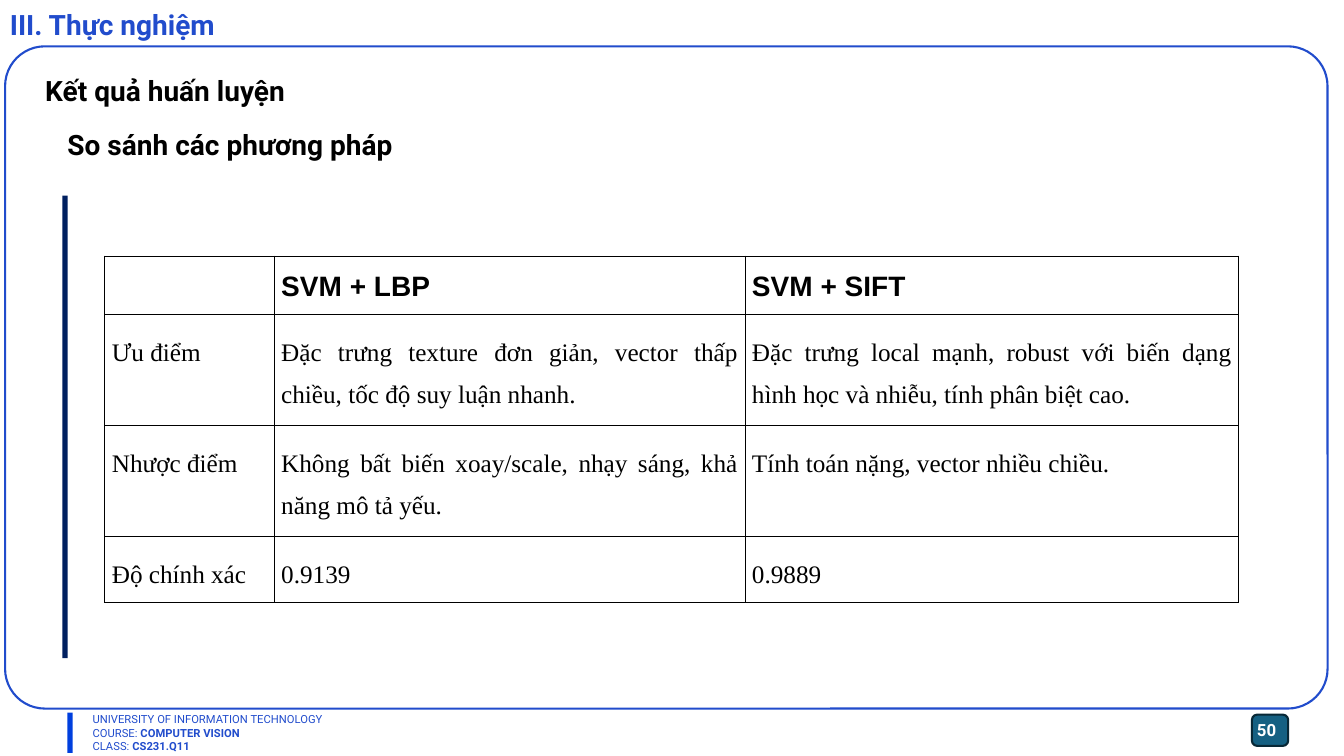
from lxml import etree
from pptx import Presentation
from pptx import util as u
from pptx.dml.color import RGBColor
from pptx.enum import shapes, text
from pptx.oxml import ns

presentation = Presentation()
presentation.slide_width = u.Inches(13.33)
presentation.slide_height = u.Inches(7.5)
slide = presentation.slides.add_slide(presentation.slide_layouts[6])


def share(left, top, width, height):
    across, down = presentation.slide_width, presentation.slide_height
    return [int(part * whole / 100) for part, whole in
            zip((left, top, width, height), (across, down, across, down))]


def style(run, size, name, color, bold):
    run.font.size = u.Pt(size)
    run.font.name = name
    run.font.bold = bold
    run.font.color.rgb = RGBColor.from_string(color)


BLUE, BLACK, WHITE = "214CCC", "000000", "FFFFFF"
RECTANGLE = shapes.MSO_SHAPE.RECTANGLE
ROUNDED = shapes.MSO_SHAPE.ROUNDED_RECTANGLE
LEFT, RIGHT = text.PP_ALIGN.LEFT, text.PP_ALIGN.RIGHT
TOP, MIDDLE = text.MSO_ANCHOR.TOP, text.MSO_ANCHOR.MIDDLE

blocks = [
    (RECTANGLE, (5.02, 94.27, 0.38, 5.33), "003FDE", None, None),
    (ROUNDED, (0.38, 6.13, 98.4, 87.6), None, BLUE, 0.06),
    (ROUNDED, (93.15, 94.53, 2.7, 4.13), "156082", "082836", 0.17),
    (RECTANGLE, (4.65, 25.87, 0.38, 61.2), "002060", None, None),
]
for preset, area, fill, line, corner in blocks:
    shape = slide.shapes.add_shape(preset, *share(*area))
    shape.shadow.inherit = False
    if corner:
        shape.adjustments[0] = corner
    if fill:
        shape.fill.solid()
        shape.fill.fore_color.rgb = RGBColor.from_string(fill)
    else:
        shape.fill.background()
    if line:
        shape.line.color.rgb = RGBColor.from_string(line)
        shape.line.width = u.Pt(1.5)
    else:
        shape.line.fill.background()

footer = [
    [("UNIVERSITY OF INFORMATION TECHNOLOGY", False)],
    [("COURSE: ", False), ("COMPUTER VISION", True)],
    [("CLASS: ", False), ("CS231.Q11", True)],
]
labels = [
    ((6.15, 93.6, 37.95, 6.67), footer, 8, BLUE, LEFT, TOP),
    ((73.2, 93.87, 22.5, 5.33), [[("50", True)]], 12, WHITE, RIGHT, MIDDLE),
    ((0, 0.4, 50.55, 5.87), [[("III. Thực nghiệm", True)]], 20, BLUE, LEFT, TOP),
    ((2.63, 9.07, 40.35, 5.87), [[("Kết quả huấn luyện", True)]], 20, BLACK, LEFT, TOP),
    ((4.28, 16.27, 46.28, 5.87), [[("So sánh các phương pháp", True)]], 20, BLACK, LEFT, TOP),
]
for area, lines, size, color, alignment, anchor in labels:
    frame = slide.shapes.add_textbox(*share(*area)).text_frame
    frame.word_wrap = True
    frame.vertical_anchor = anchor
    for index, pieces in enumerate(lines):
        paragraph = frame.add_paragraph() if index else frame.paragraphs[0]
        paragraph.alignment = alignment
        for words, bold in pieces:
            run = paragraph.add_run()
            run.text = words
            style(run, size, "Roboto", color, bold)

comparison = [
    ["", "SVM + LBP", "SVM + SIFT"],
    ["Ưu điểm",
     "Đặc trưng texture đơn giản, vector thấp chiều, tốc độ suy luận nhanh.",
     "Đặc trưng local mạnh, robust với biến dạng hình học và nhiễu, tính phân biệt cao."],
    ["Nhược điểm",
     "Không bất biến xoay/scale, nhạy sáng, khả năng mô tả yếu.",
     "Tính toán nặng, vector nhiều chiều."],
    ["Độ chính xác", "0.9139", "0.9889"],
]
column_shares = [12.6, 35.03, 36.75]
row_shares = [7.73, 14.67, 14.67, 8.67]
table_area = share(7.8, 33.87, sum(column_shares), sum(row_shares))
table = slide.shapes.add_table(len(row_shares), len(column_shares), *table_area).table
table.horz_banding = False
for column, width in zip(table.columns, column_shares):
    column.width = int(presentation.slide_width * width / 100)
for row, height in zip(table.rows, row_shares):
    row.height = int(presentation.slide_height * height / 100)

for row_index, entries in enumerate(comparison):
    header = row_index == 0
    for column_index, words in enumerate(entries):
        cell = table.cell(row_index, column_index)
        cell.margin_left = cell.margin_right = u.Inches(0.07)
        cell.margin_top = cell.margin_bottom = u.Inches(0.1)
        properties = cell._tc.get_or_add_tcPr()
        for side in ("a:lnL", "a:lnR", "a:lnT", "a:lnB"):
            border = etree.SubElement(properties, ns.qn(side), w=str(u.Pt(0.75)))
            solid = etree.SubElement(border, ns.qn("a:solidFill"))
            etree.SubElement(solid, ns.qn("a:srgbClr"), val=BLACK)
        cell.fill.background()
        paragraph = cell.text_frame.paragraphs[0]
        paragraph.text = words
        paragraph.alignment = LEFT if header else text.PP_ALIGN.JUSTIFY
        paragraph.line_spacing = 1.15 if header else 1.5
        for run in paragraph.runs:
            if header:
                style(run, 20, "Arial", BLACK, True)
            else:
                style(run, 18, "Times New Roman", BLACK, False)

presentation.save("out.pptx")
